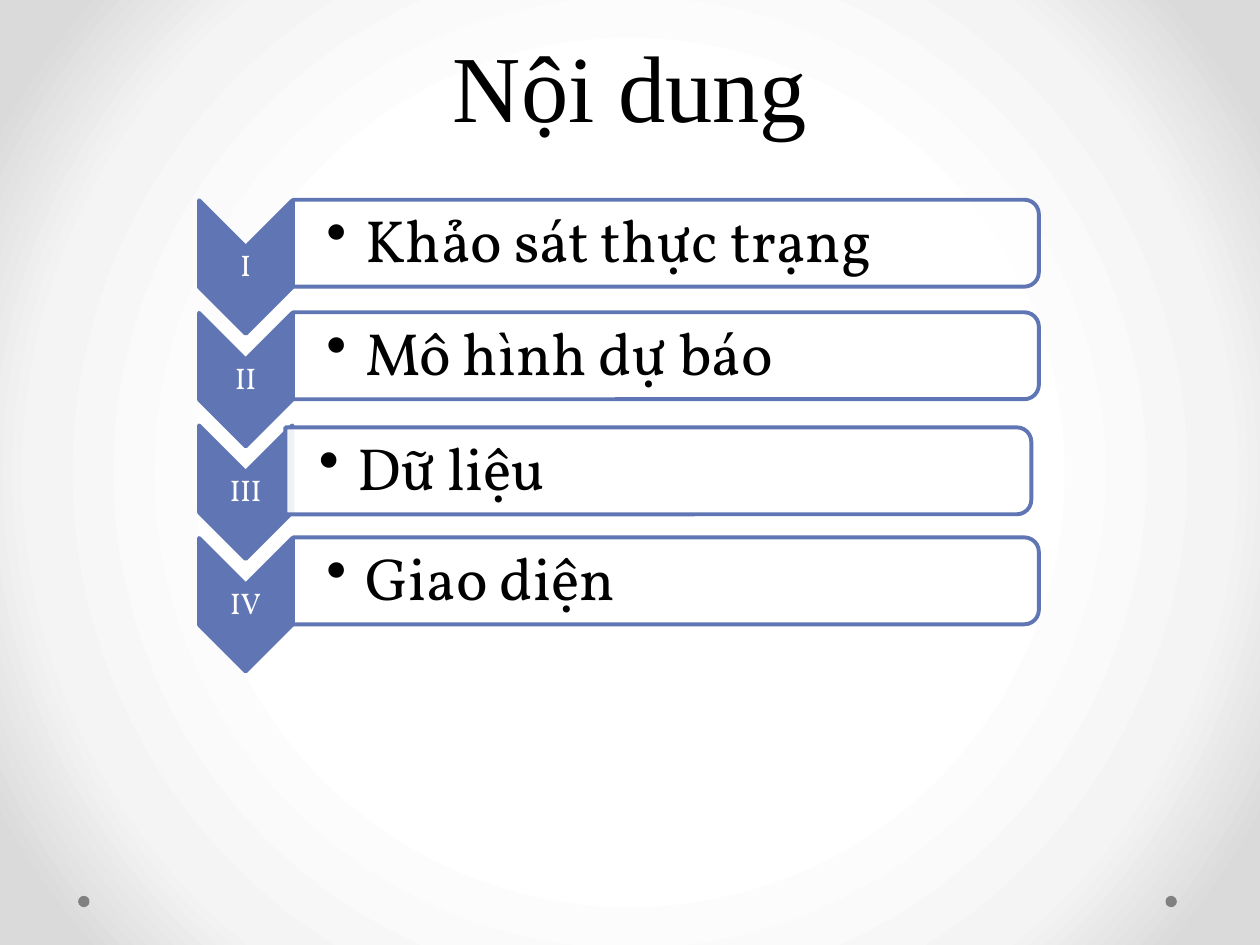
from lxml.etree import SubElement
from pptx import Presentation
from pptx.dml.color import RGBColor
from pptx.enum.shapes import MSO_SHAPE
from pptx.enum.text import MSO_ANCHOR, MSO_AUTO_SIZE, PP_ALIGN
from pptx.oxml import parse_xml
from pptx.oxml.ns import nsdecls, qn
from pptx.util import Inches, Pt

COLORS = {
    "blue": "6076B4",
    "white": "FFFFFF",
    "pale": "F4F4F4",
    "edge": "DADADA",
    "dot": "808080",
    "black": "000000",
}
ROWS = [
    ("I", "Khảo sát thực trạng", 0, 0),
    ("II", "Mô hình dự báo", 0, 0),
    ("III", "Dữ liệu", -0.06, 0.02),
    ("IV", "Giao diện", 0, 0),
]
STEP = 2.68 / 3


def color(name):
    return RGBColor.from_string(COLORS[name])


def paint_back(slide):
    slide.background.fill.gradient()
    old = slide.element.find(".//" + qn("a:gradFill"))
    stops = "".join(
        f'<a:gs pos="{pos}000"><a:srgbClr val="{COLORS[name]}"/></a:gs>'
        for pos, name in ((50, "white"), (76, "pale"), (92, "edge"))
    )
    new = parse_xml(
        f'<a:gradFill {nsdecls("a")} rotWithShape="1"><a:gsLst>{stops}</a:gsLst>'
        '<a:path path="circle"><a:fillToRect l="50000" t="50000" r="50000" b="50000"/>'
        "</a:path></a:gradFill>"
    )
    old.getparent().replace(old, new)


def add_form(slide, kind, box, fill, line=None, turn=0):
    form = slide.shapes.add_shape(kind, *map(Inches, box))
    form.shadow.inherit = False
    form.rotation = turn
    form.fill.solid()
    form.fill.fore_color.rgb = color(fill)
    if line:
        form.line.color.rgb = color(line)
        form.line.width = Pt(2.25)
    else:
        form.line.fill.background()
    return form


def set_alpha(form, share):
    tint = form.fill._xPr.find(".//" + qn("a:srgbClr"))
    SubElement(tint, qn("a:alpha"), val=str(share * 1000))


def set_font(para, name, size, tint):
    para.font.name = name
    para.font.size = Pt(size)
    para.font.color.rgb = color(tint)


def add_text(slide, box, text, size, tint, left, pad, after):
    frame = slide.shapes.add_textbox(*map(Inches, box)).text_frame
    frame.word_wrap = True
    frame.vertical_anchor = MSO_ANCHOR.MIDDLE
    frame.margin_left = Inches(left)
    frame.margin_right = frame.margin_top = frame.margin_bottom = Inches(pad)
    para = frame.paragraphs[0]
    para.text = text
    para.line_spacing = 0.9
    para.space_after = Pt(after)
    set_font(para, "Vollkorn", size, tint)
    return para


def add_bullet(para):
    para.level = 1
    props = para._p.get_or_add_pPr()
    props.set("marL", str(Inches(0.31)))
    props.set("indent", str(Inches(-0.31)))
    SubElement(props, qn("a:buChar"), char="•").getparent().remove(props[-1])
    bullet = parse_xml(f'<a:buChar {nsdecls("a")} char="•"/>')
    props.find(qn("a:defRPr")).addprevious(bullet)


def add_title(slide, text):
    title = slide.shapes.title
    title.left, title.top, title.width, title.height = map(Inches, (0.5, 0, 9, 1.17))
    frame = title.text_frame
    frame.auto_size = MSO_AUTO_SIZE.NONE
    frame.vertical_anchor = MSO_ANCHOR.BOTTOM
    para = frame.paragraphs[0]
    para.text = text
    para.alignment = PP_ALIGN.CENTER
    para.line_spacing = Pt(58)
    set_font(para, "Times New Roman", 54, "black")


def add_row(slide, drop, mark, label, dx, dy):
    add_form(slide, MSO_SHAPE.CHEVRON, (1.42, 1.75 + drop, 1.06, 0.74), "blue", "blue", 90)
    para = add_text(slide, (1.58, 1.96 + drop, 0.74, 0.32), mark, 17, "white", 0.01, 0.01, 6)
    para.alignment = PP_ALIGN.CENTER
    bar = add_form(
        slide, MSO_SHAPE.ROUND_2_SAME_RECTANGLE,
        (4.94 + dx, -1.03 + drop + dy, 0.69, 5.92), "white", "blue", 90,
    )
    set_alpha(bar, 90)
    box = (2.33 + dx, 1.62 + drop + dy, 5.89, 0.62)
    add_bullet(add_text(slide, box, label, 34, "black", 0.26, 0.02, 5))


def main():
    deck = Presentation()
    deck.slide_width, deck.slide_height = Inches(10), Inches(7.5)
    slide = deck.slides.add_slide(deck.slide_layouts[5])
    paint_back(slide)
    for left in (9.25, 0.62):
        add_form(slide, MSO_SHAPE.OVAL, (left, 7.11, 0.09, 0.09), "dot")
    add_title(slide, "Nội dung")
    for i, row in enumerate(ROWS):
        add_row(slide, i * STEP, *row)
    deck.save("out.pptx")


if __name__ == "__main__":
    main()
